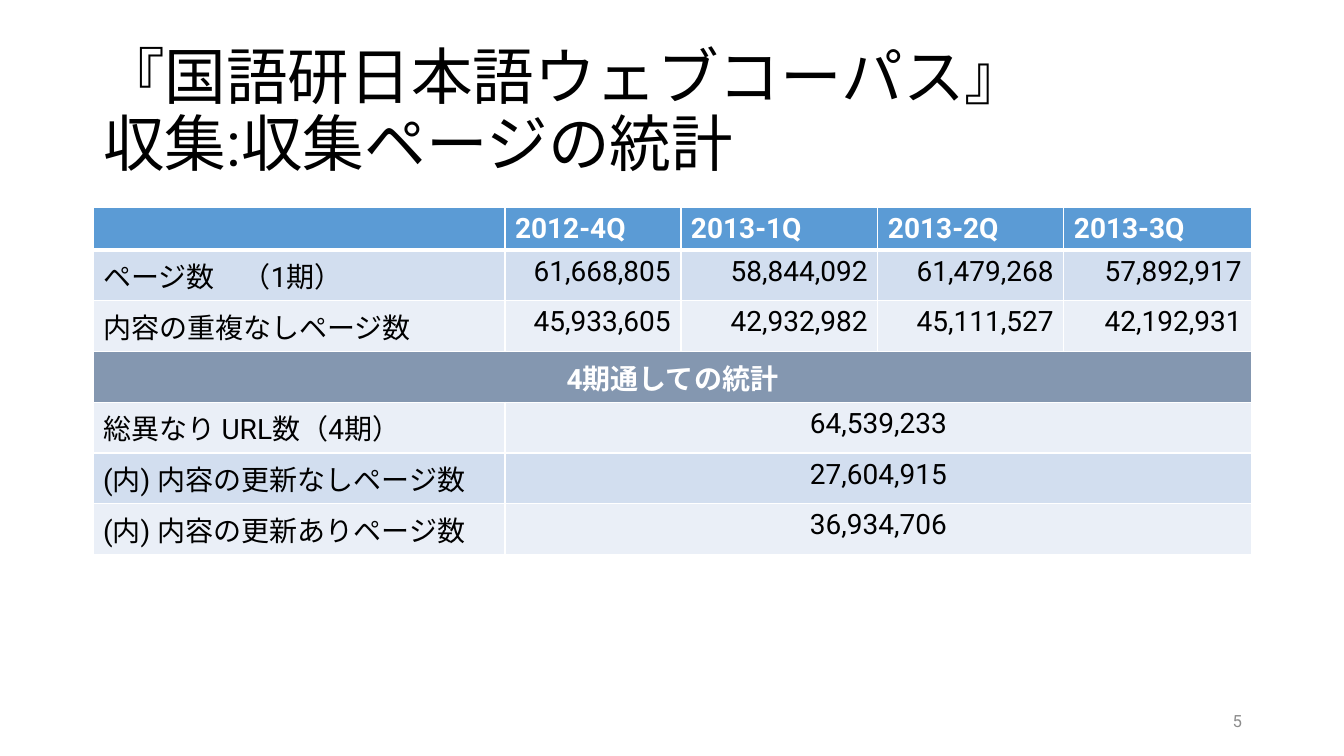
from lxml import etree
from pptx import Presentation
from pptx.dml.color import RGBColor
from pptx.enum.lang import MSO_LANGUAGE_ID as Language
from pptx.enum.text import MSO_ANCHOR as Anchor, MSO_AUTO_SIZE as AutoSize, PP_ALIGN as Align
from pptx.oxml.ns import qn
from pptx.util import Emu, Pt

COLORS = {
    "text": "000000",
    "white": "FFFFFF",
    "header": "5B9BD5",
    "section": "8497B0",
    "dark band": "D2DEEF",
    "light band": "EAEFF7",
    "page number": "8C8C8C",
}
EMU_PER_PX = 914400 / 100.8


def px(*lengths):
    return [Emu(round(length * EMU_PER_PX)) for length in lengths]


def format_text(frame, size, color, align=Align.LEFT, bold=False):
    for para in frame.paragraphs:
        para.alignment = align
        for span in para.runs:
            span.font.name = "Roboto"
            span.font.size = Pt(size)
            span.font.bold = bold
            span.font.color.rgb = RGBColor.from_string(COLORS[color])
            span.font.language_id = Language.JAPANESE


deck = Presentation()
deck.slide_width, deck.slide_height = px(1344, 756)
page = deck.slides.add_slide(deck.slide_layouts[5])

# Title
title = page.shapes.title
title.left, title.top, title.width, title.height = px(93, 40, 1159, 146)
title.text_frame.text = "『国語研日本語ウェブコーパス』\v収集:収集ページの統計"
title.text_frame.word_wrap = True
title.text_frame.auto_size = AutoSize.NONE
title.text_frame.vertical_anchor = Anchor.MIDDLE
title.text_frame.paragraphs[0].line_spacing = 0.9
format_text(title.text_frame, 44, "text")

# Table: label, values, fill; a row with fewer values than columns is merged
ROWS = [
    (["", "2012-4Q", "2013-1Q", "2013-2Q", "2013-3Q"], "header"),
    (["ページ数　（1期）", "61,668,805", "58,844,092", "61,479,268", "57,892,917"], "dark band"),
    (["内容の重複なしページ数", "45,933,605", "42,932,982", "45,111,527", "42,192,931"], "light band"),
    (["4期通しての統計"], "section"),
    (["総異なり URL数（4期）", "64,539,233"], "light band"),
    (["(内) 内容の更新なしページ数", "27,604,915"], "dark band"),
    (["(内) 内容の更新ありページ数", "36,934,706"], "light band"),
]
COLUMN_WIDTHS = [412, 176, 197, 186, 188]
ROW_HEIGHTS = [41, 41, 41, 41, 41, 43, 41]
last_column = len(COLUMN_WIDTHS) - 1

table = page.shapes.add_table(
    len(ROWS), len(COLUMN_WIDTHS),
    *px(93, 207, sum(COLUMN_WIDTHS), sum(ROW_HEIGHTS))).table
for column, width in zip(table.columns, px(*COLUMN_WIDTHS)):
    column.width = width
for row, height in zip(table.rows, px(*ROW_HEIGHTS)):
    row.height = height

for row_index, (texts, fill) in enumerate(ROWS):
    strong = fill in ("header", "section")
    merged = len(texts) <= last_column
    if merged:
        table.cell(row_index, len(texts) - 1).merge(table.cell(row_index, last_column))

    for column_index in range(last_column + 1):
        cell = table.cell(row_index, column_index)
        properties = cell._tc.get_or_add_tcPr()
        for side in ("lnL", "lnR", "lnT", "lnB"):
            thick = (side == "lnB" and row_index == 0) or (side == "lnT" and row_index == 1)
            line = etree.SubElement(properties, qn(f"a:{side}"), w=str(Pt(3 if thick else 1)))
            solid = etree.SubElement(line, qn("a:solidFill"))
            etree.SubElement(solid, qn("a:srgbClr"), val=COLORS["white"])
        cell.fill.solid()
        cell.fill.fore_color.rgb = RGBColor.from_string(COLORS[fill])

        if column_index < len(texts):
            cell.text_frame.text = texts[column_index]
            if merged and column_index == len(texts) - 1:
                align = Align.CENTER
            elif column_index == 0 or strong:
                align = Align.LEFT
            else:
                align = Align.RIGHT
            format_text(cell.text_frame, 20, "white" if strong else "text", align, strong)

# Page number
number_box = page.shapes.add_textbox(*px(950, 701, 302, 40))
number_box.text_frame.text = "5"
number_box.text_frame.word_wrap = True
number_box.text_frame.vertical_anchor = Anchor.MIDDLE
format_text(number_box.text_frame, 12, "page number", Align.RIGHT)

deck.save("out.pptx")
